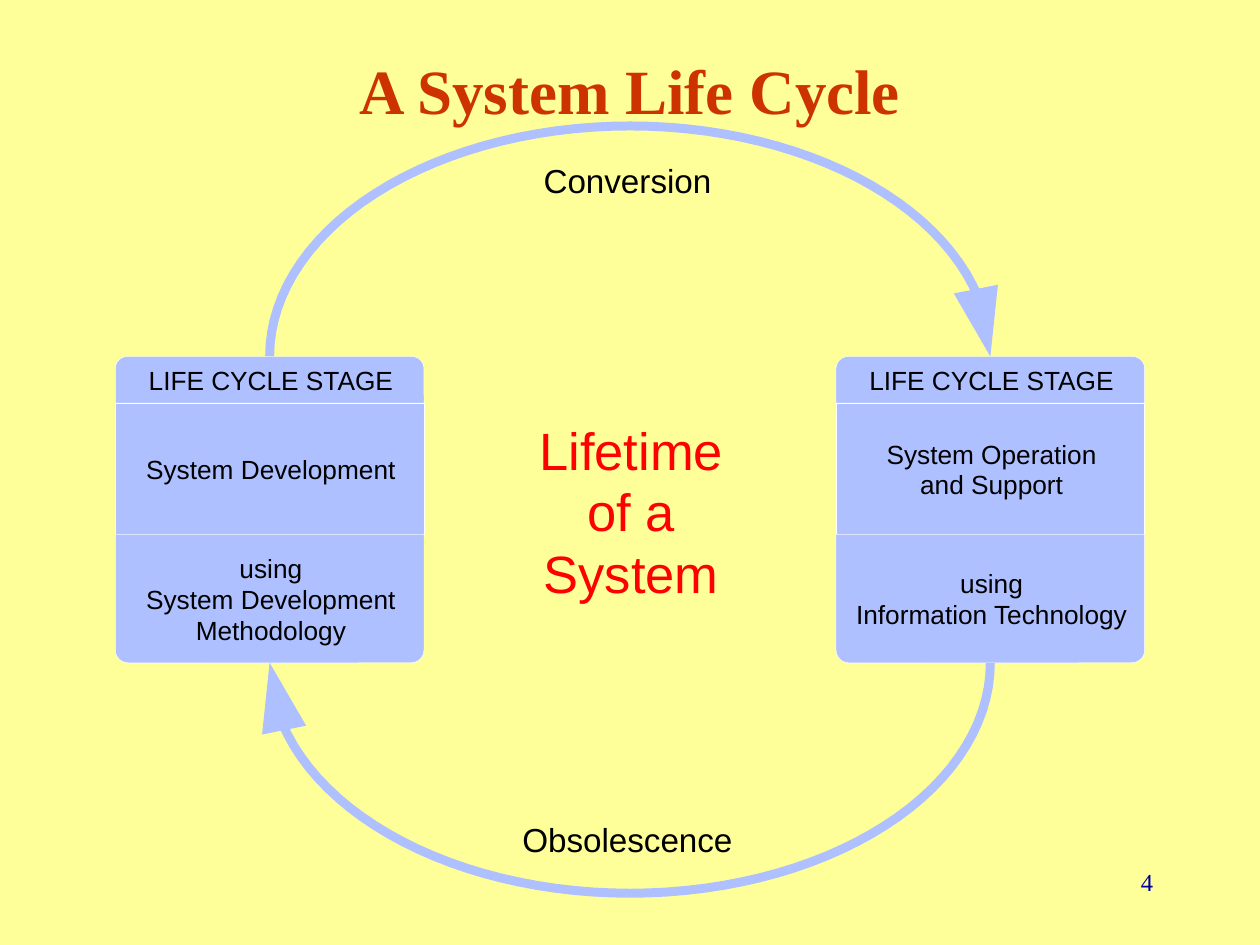
from math import cos, radians, sin

from pptx import Presentation
from pptx.dml.color import RGBColor
from pptx.enum.shapes import MSO_SHAPE
from pptx.enum.text import MSO_ANCHOR, MSO_AUTO_SIZE, PP_ALIGN
from pptx.util import Inches, Pt

RECT = MSO_SHAPE.RECTANGLE
ROUND = MSO_SHAPE.ROUND_2_SAME_RECTANGLE
TOP, MIDDLE = MSO_ANCHOR.TOP, MSO_ANCHOR.MIDDLE
CENTER, RIGHT = PP_ALIGN.CENTER, PP_ALIGN.RIGHT
FIXED, GROW = MSO_AUTO_SIZE.NONE, MSO_AUTO_SIZE.SHAPE_TO_FIT_TEXT

COLORS = {
    "page": "FFFF99",
    "title": "CC3300",
    "stage": "AEC0FF",
    "edge": "FFFFFF",
    "text": "000000",
    "life": "FF0000",
    "number": "000099",
}


def color(name):
    return RGBColor.from_string(COLORS[name])


def add_text(slide, text, box, size=15, font="Arial", tint="text", bold=False,
             align=CENTER, anchor=TOP, inset=(0, 0), wrap=False):
    frame = slide.shapes.add_textbox(*map(Inches, box)).text_frame
    frame.word_wrap = wrap
    frame.auto_size = FIXED if wrap else GROW
    frame.vertical_anchor = anchor
    frame.margin_left = frame.margin_right = Inches(inset[0])
    frame.margin_top = frame.margin_bottom = Inches(inset[1])
    para = frame.paragraphs[0]
    para.alignment = align
    run = para.add_run()
    run.text = text
    run.font.size = Pt(size)
    run.font.name = font
    run.font.bold = bold
    run.font.color.rgb = color(tint)


def add_lines(slide, lines, mid_x, mid_y, pitch=0.245, **style):
    top = mid_y - len(lines) * pitch / 2
    for row, (text, width) in enumerate(lines):
        room = width + 0.06
        box = (mid_x - room / 2, top + row * pitch, room, pitch)
        add_text(slide, text, box, **style)


def add_path(slide, points, closed):
    spots = [(Inches(x), Inches(y)) for x, y in points]
    pen = slide.shapes.build_freeform(*spots[0])
    pen.add_line_segments(spots[1:], close=closed)
    shape = pen.convert_to_shape()
    shape.shadow.inherit = False
    return shape


def add_arc(slide, mid_x, mid_y, side):
    wide, high = 2.86, 1.83
    curve = [(mid_x - side * wide * cos(radians(turn)),
              mid_y - side * high * sin(radians(turn)))
             for turn in range(0, 166, 3)]
    arc = add_path(slide, curve, False)
    arc.fill.background()
    arc.line.color.rgb = color("stage")
    arc.line.width = Pt(5.13)

    tip = mid_x + side * wide
    head = [(tip + side * x, mid_y + side * y)
            for x, y in ((0.06, -0.57), (0, 0), (-0.29, -0.5))]
    arrow = add_path(slide, head, True)
    arrow.fill.solid()
    arrow.fill.fore_color.rgb = color("stage")
    arrow.line.fill.background()


def add_card(slide, left, top, width, parts):
    cells = ((ROUND, 0.37, (0.26, 0)), (RECT, 1.04, ()), (ROUND, 1.02, (0, 0.1)))
    for (kind, height, bends), lines in zip(cells, parts):
        cell = slide.shapes.add_shape(
            kind, Inches(left), Inches(top), Inches(width), Inches(height))
        for spot, bend in enumerate(bends):
            cell.adjustments[spot] = bend
        cell.shadow.inherit = False
        cell.fill.solid()
        cell.fill.fore_color.rgb = color("stage")
        cell.line.color.rgb = color("edge")
        cell.line.width = Pt(0.25)
        add_lines(slide, lines, left + width / 2 + 0.01, top + height / 2)
        top += height


def add_cycle(slide, mid_x, top):
    width, gap = 2.45, 2.86
    base = top + 2.43
    add_arc(slide, mid_x, top, 1)
    add_arc(slide, mid_x, base, -1)
    add_lines(slide, [("Conversion", 1.33)], mid_x - 0.02, top - 1.4,
              pitch=0.32, size=19)
    add_lines(slide, [("Obsolescence", 1.67)], mid_x - 0.02, base + 1.4,
              pitch=0.32, size=19)
    add_lines(slide, [("Lifetime", 1.46), ("of a", 0.7), ("System", 1.39)],
              mid_x + 0.01, top + 1.22, pitch=0.49, size=30, tint="life")

    stage = [("LIFE CYCLE STAGE", 1.96)]
    build = ("System Development", 1.98)
    using = ("using", 0.5)
    cards = (
        (-gap, (stage, [build], [using, build, ("Methodology", 1.19)])),
        (gap, (stage, [("System Operation", 1.67), ("and Support", 1.14)],
               [using, ("Information Technology", 2.18)])),
    )
    for shift, parts in cards:
        add_card(slide, mid_x + shift - width / 2, top, width, parts)


def main():
    deck = Presentation()
    deck.slide_width, deck.slide_height = Inches(10), Inches(7.5)
    slide = deck.slides.add_slide(deck.slide_layouts[6])
    slide.background.fill.solid()
    slide.background.fill.fore_color.rgb = color("page")
    serif = {"font": "Times New Roman", "inset": (0.1, 0.05), "wrap": True}
    add_text(slide, "A System Life Cycle", (0.75, 0.42, 8.5, 0.58), size=36,
             tint="title", bold=True, anchor=MIDDLE, **serif)
    add_cycle(slide, 5, 2.83)
    add_text(slide, "4", (7.17, 6.83, 2.08, 0.5), size=14, tint="number",
             align=RIGHT, **serif)
    deck.save("out.pptx")


if __name__ == "__main__":
    main()
